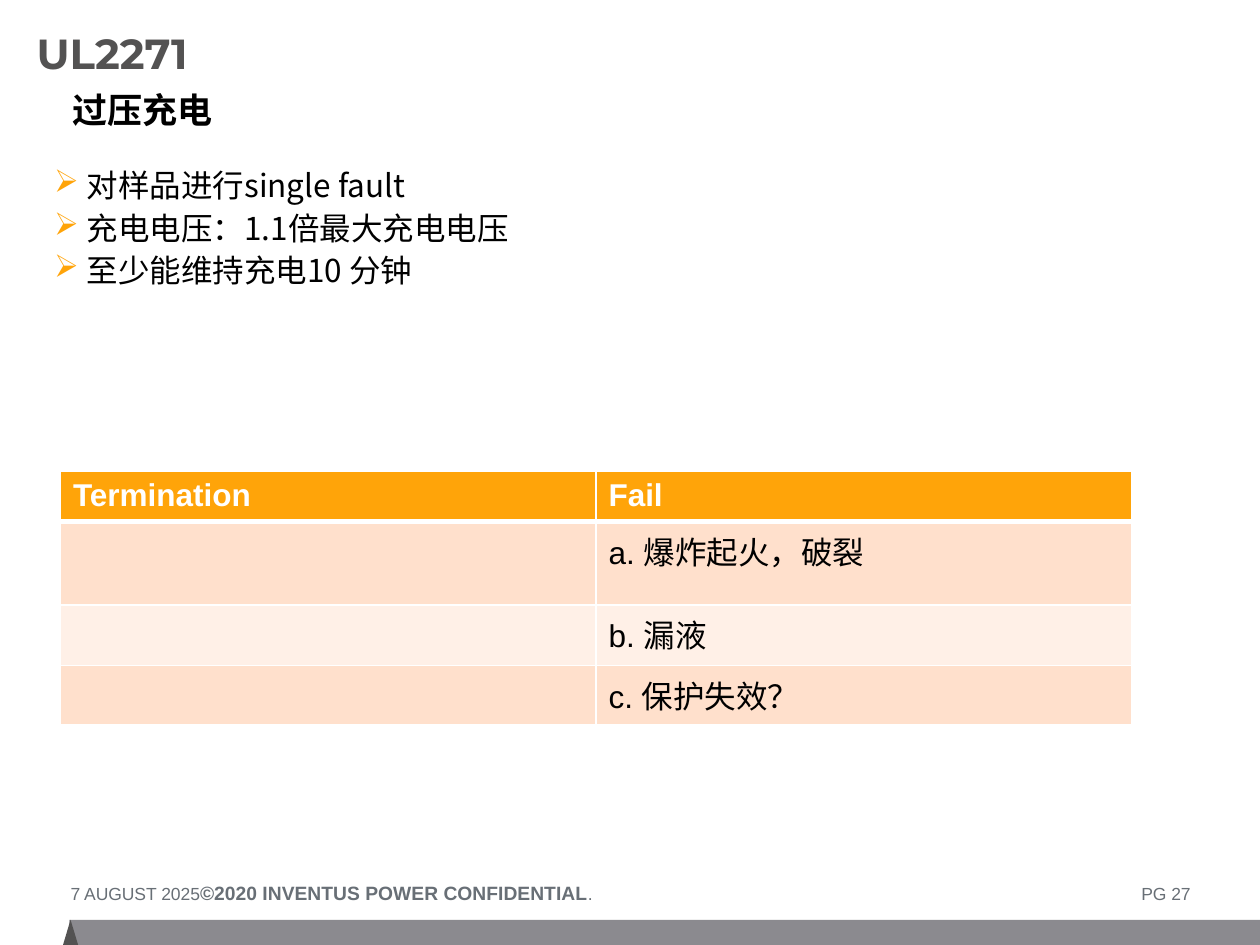
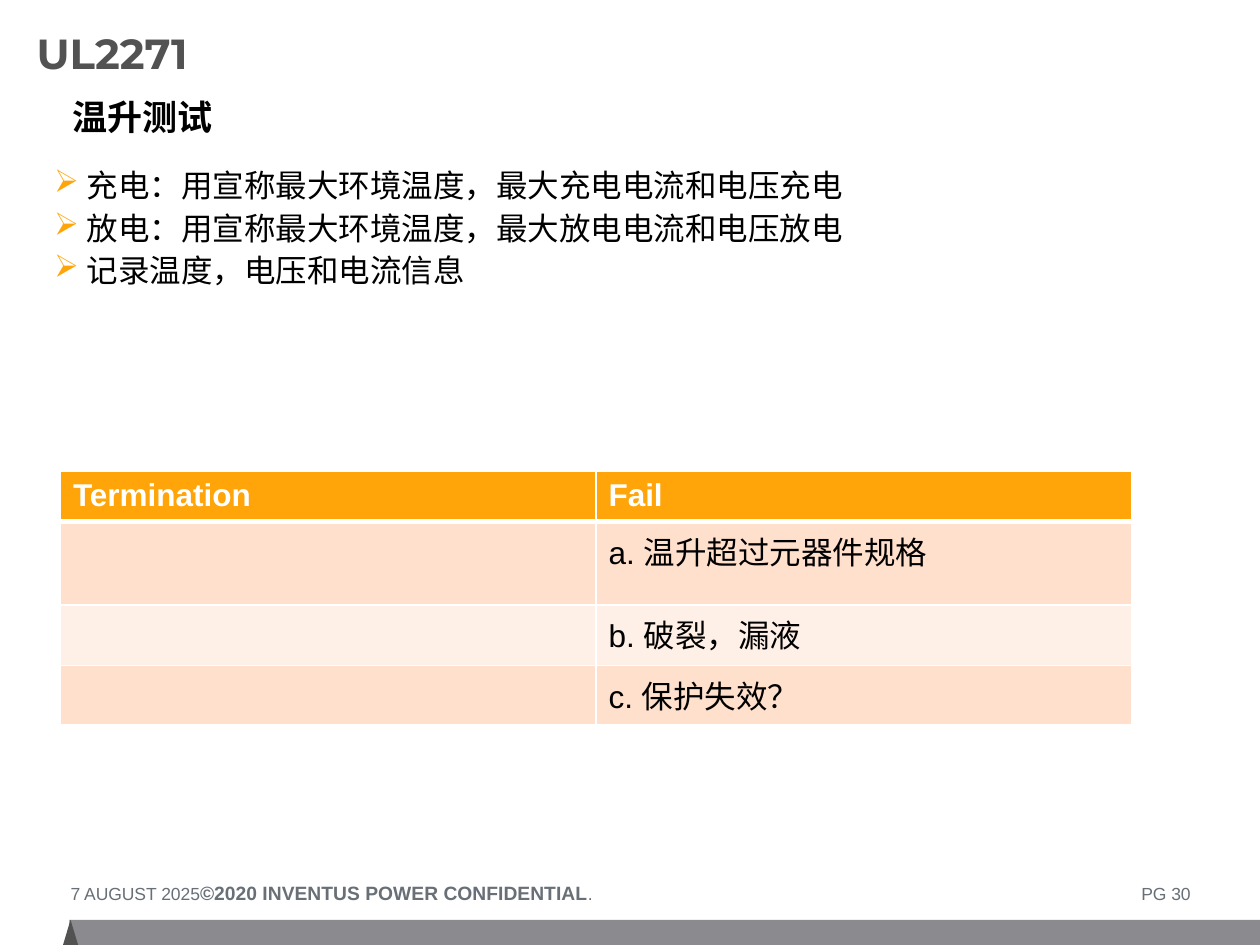
from lxml import etree
from pptx import Presentation
from pptx.dml.color import RGBColor
from pptx.enum.shapes import MSO_SHAPE as SHAPE
from pptx.enum.text import MSO_ANCHOR as ANCHOR
from pptx.oxml.ns import qn
from pptx.util import Inches, Pt

ORANGE, GREY, DARK, SLATE = "FFA409", "8B8A8F", "535252", "686F76"
BLACK, WHITE, PEACH, CREAM = "000000", "FFFFFF", "FFE0CC", "FFF0E7"
HAN = "Noto Sans CJK SC"

TITLE = "UL2271"
DATE = "7 AUGUST 2025"
RIGHTS = "©2020 INVENTUS POWER CONFIDENTIAL"
HEADS = ("Termination", "Fail")
ROWS = (0.38, 0.66, 0.48, 0.47)
COL = 4.25

TESTS = [
    {"name": "过压充电", "top": 0.7, "page": 27,
     "steps": ["对样品进行single fault", "充电电压：1.1倍最大充电电压",
               "至少能维持充电10 分钟"],
     "fails": ["a. 爆炸起火，破裂", "b. 漏液", "c. 保护失效？"]},
    {"name": "温升测试", "top": 0.75, "page": 30,
     "steps": ["充电：用宣称最大环境温度，最大充电电流和电压充电",
               "放电：用宣称最大环境温度，最大放电电流和电压放电",
               "记录温度，电压和电流信息"],
     "fails": ["a. 温升超过元器件规格", "b. 破裂，漏液", "c. 保护失效？"]},
]


def rgb(code):
    return RGBColor.from_string(code)


def sub(node, tag, **attrs):
    return etree.SubElement(node, qn(tag), {k: str(v) for k, v in attrs.items()})


def paint(node, code):
    sub(sub(node, "a:solidFill"), "a:srgbClr", val=code)


def put(para, text, size=18, color=BLACK, bold=False, font="Arial"):
    """Add a run of text to a paragraph."""
    run = para.add_run()
    run.text = text
    face = run.font
    face.size, face.bold, face.name = Pt(size), bold, font
    face.color.rgb = rgb(color)
    sub(run._r.get_or_add_rPr(), "a:ea", typeface=HAN)


def box(slide, left, top, width, height, inset=True, anchor=ANCHOR.TOP):
    """Add an empty text box and return its frame."""
    frame = slide.shapes.add_textbox(*map(Inches, (left, top, width, height))).text_frame
    frame.word_wrap = True
    frame.vertical_anchor = anchor
    if not inset:
        frame.margin_left = frame.margin_right = 0
        frame.margin_top = frame.margin_bottom = 0
    return frame


def block(slide, kind, left, width, color):
    shape = slide.shapes.add_shape(kind, *map(Inches, (left, 7.3, width, 0.2)))
    shape.shadow.inherit = False
    shape.fill.solid()
    shape.fill.fore_color.rgb = rgb(color)
    shape.line.fill.background()


def base(slide, page):
    """Draw the band, footer and title that every slide has."""
    block(slide, SHAPE.RECTANGLE, 0.55, 9.45, GREY)
    block(slide, SHAPE.ISOSCELES_TRIANGLE, 0.5, 0.12, DARK)
    para = box(slide, 0.56, 6.99, 8.89, 0.19, inset=False).paragraphs[0]
    tabs = sub(para._p.get_or_add_pPr(), "a:tabLst")
    for pos, algn in ((3.38, "dec"), (11.81, "r")):
        sub(tabs, "a:tab", pos=Inches(pos), algn=algn)
    put(para, DATE + "\t", size=10, color=SLATE)
    put(para, RIGHTS, size=11, color=SLATE, bold=True)
    put(para, f".\tPG {page}", size=10, color=SLATE)
    para = box(slide, 0.29, 0.14, 7.38, 0.64, inset=False,
               anchor=ANCHOR.MIDDLE).paragraphs[0]
    para.line_spacing = 0.75
    put(para, TITLE, size=24, color=DARK, bold=True, font="Montserrat")


def bullets(slide, steps):
    frame = box(slide, 0.43, 1.37, 8.88, 5, inset=False)
    for i, step in enumerate(steps):
        para = frame.add_paragraph() if i else frame.paragraphs[0]
        props = para._p.get_or_add_pPr()
        props.set("marL", str(Inches(0.26)))
        props.set("indent", str(Inches(-0.26)))
        sub(sub(props, "a:buClr"), "a:srgbClr", val=ORANGE)
        sub(props, "a:buChar", char="➢")
        para.line_spacing = 0.84
        para.space_after = Pt(6)
        put(para, step, font=HAN)


def edge(cell, head):
    """Give a cell white borders, with a thick one under the header."""
    props = cell._tc.get_or_add_tcPr()
    for side in "LRTB":
        thick = head and side == "B"
        paint(sub(props, "a:ln" + side, w=Pt(3 if thick else 1)), WHITE)


def grid(slide, fails):
    cells = [HEADS] + [("", fail) for fail in fails]
    table = slide.shapes.add_table(len(ROWS), 2, *map(
        Inches, (0.48, 3.74, 2 * COL, sum(ROWS)))).table
    table.first_row = table.horz_banding = False
    for col in table.columns:
        col.width = Inches(COL)
    for r, (height, texts) in enumerate(zip(ROWS, cells)):
        table.rows[r].height = Inches(height)
        head = r == 0
        for c, text in enumerate(texts):
            cell = table.cell(r, c)
            edge(cell, head)
            cell.fill.solid()
            cell.fill.fore_color.rgb = rgb(ORANGE if head else PEACH if r % 2 else CREAM)
            if text:
                put(cell.text_frame.paragraphs[0], text, bold=head,
                    color=WHITE if head else BLACK)


def main():
    deck = Presentation()
    deck.slide_width, deck.slide_height = Inches(10), Inches(7.5)
    for test in TESTS:
        slide = deck.slides.add_slide(deck.slide_layouts[6])
        base(slide, test["page"])
        para = box(slide, 0.48, test["top"], 4.7, 0.44).paragraphs[0]
        para.line_spacing = 0.88
        put(para, test["name"], size=20, bold=True)
        bullets(slide, test["steps"])
        grid(slide, test["fails"])
    deck.save("out.pptx")


if __name__ == "__main__":
    main()
